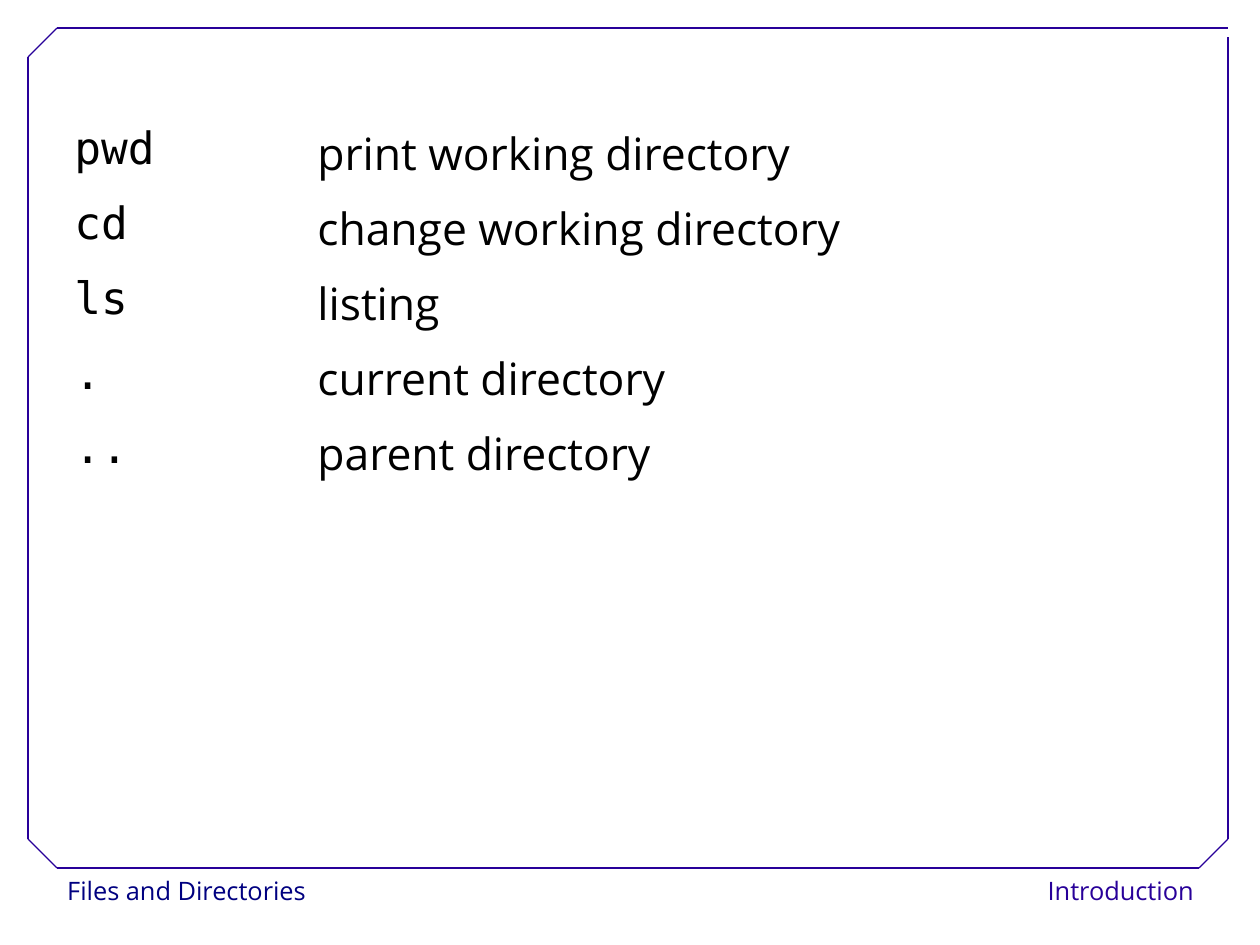
from dataclasses import dataclass

from lxml.etree import SubElement
from pptx import Presentation
from pptx.dml.color import RGBColor
from pptx.enum.shapes import MSO_CONNECTOR, MSO_SHAPE
from pptx.enum.text import MSO_ANCHOR, PP_ALIGN
from pptx.oxml.ns import qn
from pptx.util import Pt

EMU_PER_PX = 8000


@dataclass(frozen=True)
class Theme:
    """Colours, fonts and type sizes of the slide."""
    paper: RGBColor = RGBColor(0xFF, 0xFF, 0xFF)
    ink: RGBColor = RGBColor(0, 0, 0)
    frame: RGBColor = RGBColor(0x28, 0x00, 0x99)
    topic: RGBColor = RGBColor(0, 0, 0x80)
    text_font: str = "Open Sans"
    code_font: str = "DejaVu Sans Mono"
    body_size: int = 28
    footer_size: int = 16
    line_width: float = 0.75


THEME = Theme()
COMMANDS = [
    ("pwd", "print working directory"),
    ("cd", "change working directory"),
    ("ls", "listing"),
    (".", "current directory"),
    ("..", "parent directory"),
]


def px(length):
    """Turn px into EMU."""
    return round(length * EMU_PER_PX)


def write(text_frame, text, font_name, size, color, line_spacing):
    """Write one formatted paragraph and return it."""
    text_frame.text = text
    paragraph = text_frame.paragraphs[0]
    paragraph.line_spacing = line_spacing
    font = paragraph.runs[0].font
    font.name, font.size, font.color.rgb = font_name, Pt(size), color
    return paragraph


def add_footer_label(slide, box, text, color, alignment):
    """Add one footer label on a paper-coloured rectangle."""
    label = slide.shapes.add_shape(MSO_SHAPE.RECTANGLE, *map(px, box))
    label.shadow.inherit = False
    label.fill.solid()
    label.fill.fore_color.rgb = THEME.paper
    label.line.fill.background()
    label.text_frame.word_wrap = False
    label.text_frame.vertical_anchor = MSO_ANCHOR.TOP
    paragraph = write(label.text_frame, text, THEME.text_font,
                      THEME.footer_size, color, 1.02)
    paragraph.alignment = alignment


def add_frame(slide, box, cut, gap):
    """Draw the frame with three cut corners and a small gap at the top right."""
    left, top, width, height = box
    right, bottom = left + width, top + height
    outline = [
        (right, top), (left + cut, top), (left, top + cut),
        (left, bottom - cut), (left + cut, bottom), (right - cut, bottom),
        (right, bottom - cut), (right, top + gap),
    ]
    for start, end in zip(outline, outline[1:]):
        side = slide.shapes.add_connector(
            MSO_CONNECTOR.STRAIGHT, *map(px, start + end))
        side.line.color.rgb = THEME.frame
        side.line.width = Pt(THEME.line_width)
        SubElement(side._element.spPr, qn("a:effectLst"))


def add_command_table(slide, box, command_width):
    """Add the table of commands and their meanings."""
    left, top, width, height = box
    table = slide.shapes.add_table(
        len(COMMANDS), 2, px(left), px(top), px(width), px(height)).table
    table.first_row = table.horz_banding = False
    table.columns[0].width = px(command_width)
    table.columns[1].width = px(width - command_width)
    fonts = (THEME.code_font, THEME.text_font)
    for row, texts in zip(table.rows, COMMANDS):
        row.height = px(height / len(COMMANDS))
        for cell, text, font_name in zip(row.cells, texts, fonts):
            cell.fill.background()
            paragraph = write(cell.text_frame, text, font_name,
                              THEME.body_size, THEME.ink, 0.93)
            paragraph.space_after = Pt(14.2)


def main():
    """Build and save the slide."""
    presentation = Presentation()
    presentation.slide_width = px(1260)
    presentation.slide_height = px(945)
    slide = presentation.slides.add_slide(presentation.slide_layouts[6])
    add_footer_label(slide, (56, 869, 246, 46), "Files and Directories",
                     THEME.topic, PP_ALIGN.LEFT)
    add_footer_label(slide, (1045, 869, 160, 46), "Introduction",
                     THEME.frame, PP_ALIGN.RIGHT)
    add_frame(slide, (28, 28, 1200, 840), cut=29, gap=9)
    add_command_table(slide, (63, 120, 1134, 375), command_width=243)
    presentation.save("out.pptx")


if __name__ == "__main__":
    main()
